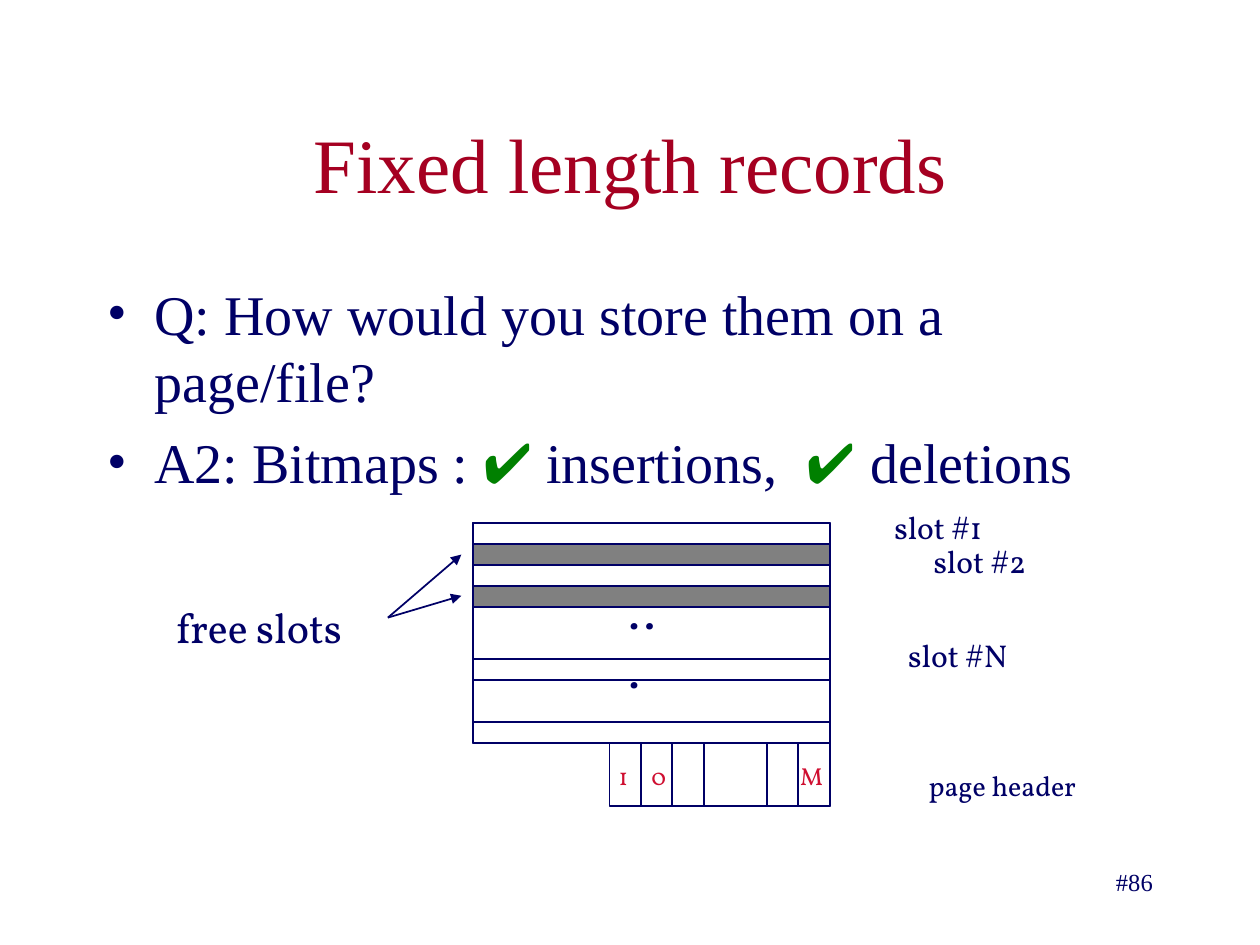
from dataclasses import dataclass
from typing import Optional

from lxml.etree import SubElement
from pptx import Presentation
from pptx.dml.color import RGBColor
from pptx.enum.shapes import MSO_CONNECTOR, MSO_SHAPE
from pptx.enum.text import MSO_ANCHOR, MSO_AUTO_SIZE, PP_ALIGN
from pptx.oxml.ns import qn
from pptx.util import Cm, Pt

NAVY = RGBColor(0x00, 0x00, 0x66)
CRIMSON = RGBColor(0xA5, 0x00, 0x21)
RED = RGBColor(0xCF, 0x0E, 0x30)
GREEN = RGBColor(0x00, 0x80, 0x00)
GRAY = RGBColor(0x80, 0x80, 0x80)
SERIF, SANS, LABEL_FONT = "Times New Roman", "Arial", "Vollkorn"

# Page diagram, in centimetres
PAGE_LEFT, PAGE_TOP, PAGE_WIDTH, PAGE_HEIGHT = 9.53, 10.54, 7.2, 4.44
ROW = PAGE_HEIGHT / 10.5
CELL_WIDTH, CELL_HEIGHT, CELL_COUNT = 0.635, 1.27, 7
PAGE_BOTTOM = PAGE_TOP + PAGE_HEIGHT
HEADER_LEFT = PAGE_LEFT + PAGE_WIDTH - CELL_COUNT * CELL_WIDTH


@dataclass
class Box:
    left: float
    top: float
    width: float
    height: float
    fill: Optional[RGBColor] = None


@dataclass
class Label:
    text: str
    left: float
    top: float
    width: float
    height: float
    size: int = 18
    color: RGBColor = NAVY
    font: str = LABEL_FONT
    align: PP_ALIGN = PP_ALIGN.LEFT
    wrap: bool = False


def add_text(paragraph, text: str, *, size: int, color: RGBColor = NAVY,
             font: str = SERIF) -> None:
    run = paragraph.add_run()
    run.text = text
    run.font.size = Pt(size)
    run.font.name = font
    run.font.color.rgb = color


def place(shape, left: float, top: float, width: float, height: float) -> None:
    shape.left, shape.top = Cm(left), Cm(top)
    shape.width, shape.height = Cm(width), Cm(height)


def add_bullet(paragraph) -> None:
    properties = paragraph._p.get_or_add_pPr()
    properties.set("marL", str(Cm(0.95)))
    properties.set("indent", str(-Cm(0.95)))
    color = SubElement(properties, qn("a:buClr"))
    SubElement(color, qn("a:srgbClr")).set("val", str(NAVY))
    SubElement(properties, qn("a:buFont")).set("typeface", SERIF)
    SubElement(properties, qn("a:buChar")).set("char", "•")


def draw_box(slide, box: Box) -> None:
    shape = slide.shapes.add_shape(MSO_SHAPE.RECTANGLE, Cm(box.left), Cm(box.top),
                                   Cm(box.width), Cm(box.height))
    shape.shadow.inherit = False
    shape.line.color.rgb = NAVY
    shape.line.width = Pt(1)
    if box.fill is None:
        shape.fill.background()
    else:
        shape.fill.solid()
        shape.fill.fore_color.rgb = box.fill


def draw_label(slide, label: Label) -> None:
    shape = slide.shapes.add_textbox(Cm(label.left), Cm(label.top),
                                     Cm(label.width), Cm(label.height))
    shape.text_frame.word_wrap = label.wrap
    paragraph = shape.text_frame.paragraphs[0]
    paragraph.alignment = label.align
    add_text(paragraph, label.text, size=label.size, color=label.color, font=label.font)


def draw_arrow(slide, start: tuple[float, float], end: tuple[float, float]) -> None:
    arrow = slide.shapes.add_connector(MSO_CONNECTOR.STRAIGHT, Cm(start[0]), Cm(start[1]),
                                       Cm(end[0]), Cm(end[1]))
    arrow.line.color.rgb = NAVY
    arrow.line.width = Pt(1)
    SubElement(arrow.line._get_or_add_ln(), qn("a:tailEnd")).set("type", "triangle")
    SubElement(arrow._element.spPr, qn("a:effectLst"))


def page_row(position: float, fill: Optional[RGBColor] = None) -> Box:
    return Box(PAGE_LEFT, PAGE_TOP + position * ROW, PAGE_WIDTH, ROW, fill)


def header_cells(first: int, count: int = 1) -> Box:
    return Box(HEADER_LEFT + first * CELL_WIDTH, PAGE_BOTTOM,
               count * CELL_WIDTH, CELL_HEIGHT)


def main() -> None:
    presentation = Presentation()
    presentation.slide_width, presentation.slide_height = Cm(25.4), Cm(19.05)
    slide = presentation.slides.add_slide(presentation.slide_layouts[1])

    # Title
    title = slide.shapes.title
    place(title, 1.91, 1.69, 21.59, 3.18)
    title.text_frame.vertical_anchor = MSO_ANCHOR.MIDDLE
    title.text_frame.paragraphs[0].alignment = PP_ALIGN.CENTER
    add_text(title.text_frame.paragraphs[0], "Fixed length records", size=44, color=CRIMSON)

    # Question and answer
    body = slide.placeholders[1]
    place(body, 1.91, 5.5, 21.59, 11.43)
    frame = body.text_frame
    frame.auto_size = MSO_AUTO_SIZE.NONE
    question, answer = frame.paragraphs[0], frame.add_paragraph()
    question.space_before, answer.space_before = Pt(0), Pt(8)
    for paragraph in (question, answer):
        add_bullet(paragraph)
    add_text(question, "Q: How would you store them on a page/file?", size=32)
    check = {"color": GREEN, "font": SANS}
    for text, style in (("A2: Bitmaps : ", {}), ("✔", check), (" insertions,  ", {}),
                        ("✔ ", check), ("deletions", {})):
        add_text(answer, text, size=32, **style)

    # Page with its slots, and the bitmap in the page header
    boxes = [Box(PAGE_LEFT, PAGE_TOP, PAGE_WIDTH, PAGE_HEIGHT)]
    boxes += [page_row(position) for position in (0, 6.5, 9.5)]
    boxes += [page_row(position, GRAY) for position in (1, 3)]
    boxes += [header_cells(1, 6)]
    boxes += [header_cells(index) for index in (0, 1, 2, 5, 6)]
    for box in boxes:
        draw_box(slide, box)

    # Labels
    for label in (
        Label("slot #1", 17.78, 10.11, 2.51, 1.02),
        Label("slot #2", 18.57, 10.8, 2.51, 1.02),
        Label("slot #N", 18.06, 12.7, 2.64, 1.02),
        Label("...", 12.42, 11.58, 1.3, 1.45, size=28, wrap=True),
        Label("free slots", 3.3, 12.01, 4.17, 1.27, size=24),
        Label("page header", 18.47, 15.37, 3.86, 0.94, size=16),
        Label("1", 12.22, 15.21, 0.79, 0.86, size=14, color=RED),
        Label("0", 12.88, 15.21, 0.79, 0.86, size=14, color=RED),
        Label("M", 15.88, 15.21, 0.94, 0.86, size=14, color=RED),
        Label("#86", 18.21, 17.35, 5.28, 1.27, size=14, font=SERIF,
              align=PP_ALIGN.RIGHT, wrap=True),
    ):
        draw_label(slide, label)

    # Arrows to the free slots
    for end in ((9.3, 11.18), (9.3, 12.01)):
        draw_arrow(slide, (7.82, 12.45), end)

    presentation.save("out.pptx")


if __name__ == "__main__":
    main()
